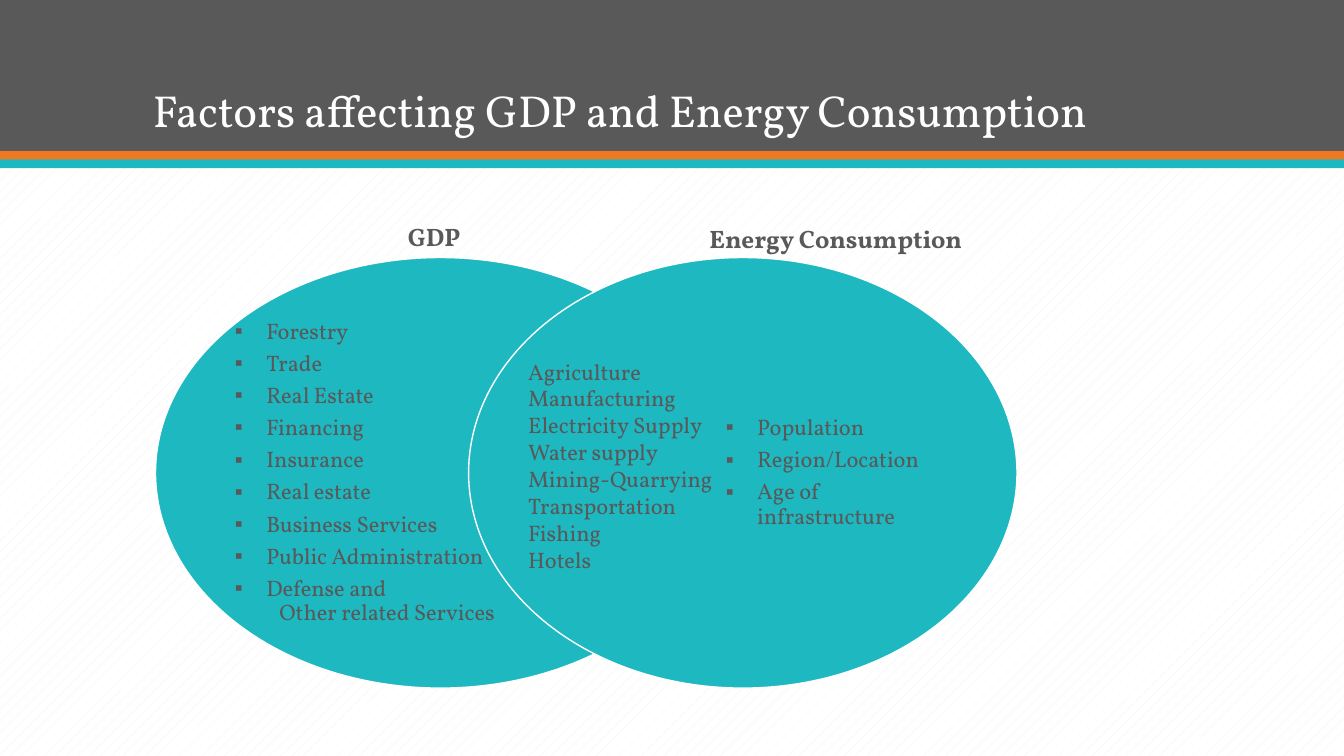
from lxml.etree import SubElement
from pptx import Presentation
from pptx.dml.color import RGBColor
from pptx.enum.dml import MSO_PATTERN
from pptx.enum.shapes import MSO_SHAPE
from pptx.enum.text import MSO_ANCHOR, MSO_AUTO_SIZE, PP_ALIGN
from pptx.oxml.ns import qn
from pptx.util import Cm, Pt

HUES = {"dark": "595959", "warm": "EF7920", "teal": "1EB8C1",
        "white": "FFFFFF", "pale": "F2F2F2"}
FACE = "Vollkorn"
HANG = 0.79

GDP = ["Forestry", "Trade", "Real Estate", "Financing", "Insurance",
       "Real estate", "Business Services", "Public Administration",
       "Defense and"]
GDP_TAIL = "Other related Services"
ENERGY = ["Population", "Region/Location", "Age of infrastructure"]
SHARED = ["Agriculture", "Manufacturing", "Electricity Supply",
          "Water supply", "Mining-Quarrying", "Transportation",
          "Fishing", "Hotels"]

BODY = {"size": Pt(16), "name": FACE, "bold": False}
HEAD = {"size": Pt(18), "name": FACE, "bold": True}
TITLE = {"size": Pt(32), "name": FACE, "bold": False}
PLAIN = {"alignment": PP_ALIGN.LEFT}
ITEM = {"alignment": PP_ALIGN.LEFT, "line_spacing": 0.9,
        "space_before": Pt(0), "space_after": Pt(5.6)}


def hue(name):
    return RGBColor.from_string(HUES[name])


def apply(item, values):
    for key, value in values.items():
        setattr(item, key, value)


def write(frame, lines, font, para=PLAIN, color="dark"):
    """Fill the frame with one paragraph a line and return them."""
    frame.text = "\n".join(lines)
    for p in frame.paragraphs:
        apply(p, para)
        for run in p.runs:
            apply(run.font, font)
            run.font.color.rgb = hue(color)
    return frame.paragraphs


def indent(p, left, mark=True):
    props = p._p.get_or_add_pPr()
    props.set("marL", str(Cm(left)))
    props.set("indent", str(Cm(-HANG if mark else 0)))
    if mark:
        SubElement(props, qn("a:buFont")).set("typeface", "Arial")
        SubElement(props, qn("a:buChar")).set("char", "▪")


def shape(slide, kind, box, color):
    form = slide.shapes.add_shape(kind, *map(Cm, box))
    form.shadow.inherit = False
    form.fill.solid()
    form.fill.fore_color.rgb = hue(color)
    form.line.fill.background()
    return form


def label(slide, box, lines, font):
    frame = slide.shapes.add_textbox(*map(Cm, box)).text_frame
    frame.word_wrap = True
    write(frame, lines, font)


def bubble(slide, left, width, pads, lines, step):
    """Draw one side of the Venn diagram with its bulleted list."""
    oval = shape(slide, MSO_SHAPE.OVAL, (left, 6.49, width, 10.85), "teal")
    oval.line.color.rgb = hue("white")
    oval.line.width = Pt(1)
    frame = oval.text_frame
    apply(frame, {"word_wrap": True, "vertical_anchor": MSO_ANCHOR.MIDDLE,
                  "margin_left": Cm(pads[0]), "margin_right": Cm(pads[1]),
                  "margin_top": 0, "margin_bottom": 0})
    items = write(frame, lines, BODY, ITEM)
    for p in items:
        if p.text == GDP_TAIL:
            indent(p, step + 0.33, mark=False)
        else:
            indent(p, step)
    return items


def header(slide, text):
    title = slide.shapes.title
    for top, high, color in ((0, 3.81, "dark"), (3.81, 0.22, "warm"),
                             (4.02, 0.22, "teal")):
        band = shape(slide, MSO_SHAPE.RECTANGLE, (0, top, 33.87, high), color)
        title.element.addprevious(band.element)
    apply(title, {"left": Cm(3.6), "top": Cm(0.7),
                  "width": Cm(26.67), "height": Cm(2.88)})
    apply(title.text_frame, {"vertical_anchor": MSO_ANCHOR.BOTTOM,
                             "word_wrap": True,
                             "auto_size": MSO_AUTO_SIZE.NONE})
    write(title.text_frame, [text], TITLE,
          {"alignment": PP_ALIGN.LEFT, "line_spacing": 0.9}, "white")


def main():
    deck = Presentation()
    apply(deck, {"slide_width": Cm(33.87), "slide_height": Cm(19.05)})
    slide = deck.slides.add_slide(deck.slide_layouts[5])
    back = slide.background.fill
    back.patterned()
    back.pattern = MSO_PATTERN.PERCENT_10
    back.fore_color.rgb = hue("pale")
    back.back_color.rgb = hue("white")

    header(slide, "Factors affecting GDP and Energy Consumption")
    items = bubble(slide, 3.92, 14.36, (-0.1, 1.98), GDP + [GDP_TAIL], HANG)
    items[-2].space_after = Pt(0)
    bubble(slide, 11.81, 13.82, (1.92, -0.1), ENERGY, 3.33)
    label(slide, (10.03, 5.46, 6.93, 1.02), ["GDP"], HEAD)
    label(slide, (17.63, 5.51, 7.8, 1.02), ["Energy Consumption"], HEAD)
    label(slide, (13.06, 8.89, 6.12, 7.09), SHARED, BODY)
    deck.save("out.pptx")


if __name__ == "__main__":
    main()
